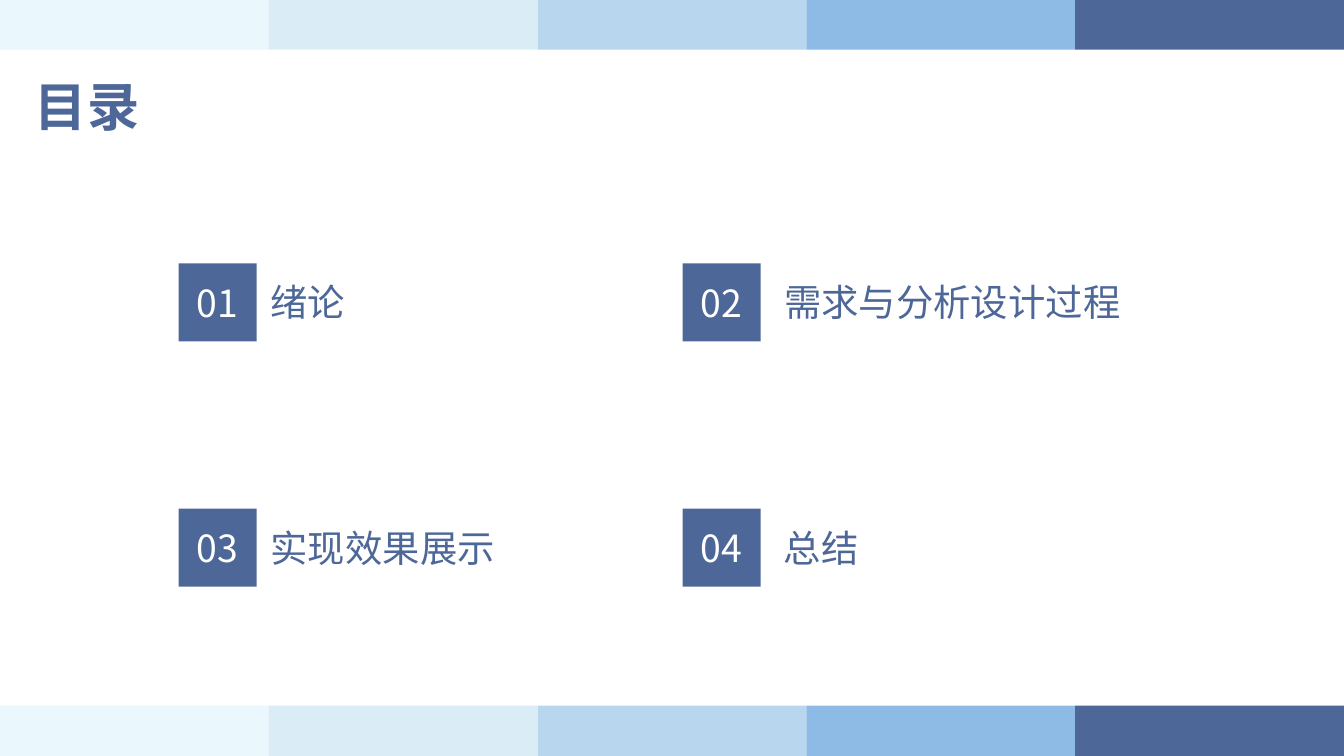
import pptx
import pptx.util
import pptx.dml.color
import pptx.enum.shapes
import pptx.enum.text
import pptx.oxml
import pptx.oxml.ns

COLORS = {"ice": "EAF7FD", "mist": "DAECF6", "sky": "B8D6EE",
          "blue": "8EBBE5", "navy": "4D6798", "white": "FFFFFF"}
FONT = "Noto Sans CJK SC"
COLS, ROWS = 100, 56.25  # grid of square cells
CELL = 0.1  # inches
ALIGN = pptx.enum.text.PP_ALIGN
ANCHOR = pptx.enum.text.MSO_ANCHOR


class Deck:
    """Holds the style and the current slide; lengths are in grid cells."""

    def __init__(self):
        self.prs = pptx.Presentation()
        self.prs.slide_width, self.prs.slide_height = self.cells(COLS, ROWS)
        self.s = self.prs.slides.add_slide(self.prs.slide_layouts[5])

    def cells(self, *lengths):
        return [pptx.util.Inches(n * CELL) for n in lengths]

    def color(self, name):
        return pptx.dml.color.RGBColor.from_string(COLORS[name])

    def set_text(self, tf, text, size, color, align=ALIGN.LEFT,
                 anchor=ANCHOR.TOP, bold=False):
        tf.text = text
        tf.vertical_anchor = anchor
        p = tf.paragraphs[0]
        p.alignment = align
        f = p.font
        f.size, f.bold, f.name = pptx.util.Pt(size), bold, FONT
        f.color.rgb = self.color(color)
        # East Asian typeface
        ea = pptx.oxml.parse_xml(
            f'<a:ea {pptx.oxml.ns.nsdecls("a")} typeface="{FONT}"/>')
        p._p.pPr.find(pptx.oxml.ns.qn("a:defRPr")).append(ea)

    def rect(self, x, y, w, h, fill):
        sp = self.s.shapes.add_shape(
            pptx.enum.shapes.MSO_SHAPE.RECTANGLE, *self.cells(x, y, w, h))
        sp.shadow.inherit = False
        sp.fill.solid()
        sp.fill.fore_color.rgb = self.color(fill)
        sp.line.fill.background()
        return sp

    def badge(self, x, y, size, text):
        sp = self.rect(x, y, size, size, "navy")
        self.set_text(sp.text_frame, text, 20, "white", ALIGN.CENTER, ANCHOR.MIDDLE)

    def label(self, x, y, w, h, text):
        tf = self.s.shapes.add_textbox(*self.cells(x, y, w, h)).text_frame
        tf.word_wrap = False
        self.set_text(tf, text, 20, "navy")

    def title(self, x, y, w, h, text):
        sp = self.s.shapes.title
        sp.left, sp.top, sp.width, sp.height = self.cells(x, y, w, h)
        sp.text_frame.auto_size = pptx.enum.text.MSO_AUTO_SIZE.NONE
        self.set_text(sp.text_frame, text, 28, "navy", bold=True)
        self.s.shapes._spTree.append(sp._element)  # bring to front


def main():
    deck = Deck()

    # Colour stripes, with a white panel leaving bands at top and bottom
    stripes = ["ice", "mist", "sky", "blue", "navy"]
    step = COLS / len(stripes)
    for i, fill in enumerate(stripes):
        deck.rect(i * step, 0, step, ROWS, fill)
    deck.rect(0, 3.7, COLS, 48.8, "white")

    deck.title(1.6, 5, 31.7, 5.7, "目录")

    # Contents: two columns by two rows, label after each number
    topics = ["绪论", "需求与分析设计过程", "实现效果展示", "总结"]
    label_lefts = [19.15, 57.35]
    for i, topic in enumerate(topics):
        row, col = divmod(i, 2)
        x, y = 13.3 + 37.5 * col, 19.6 + 18.25 * row
        deck.badge(x, y, 5.8, f"{i + 1:02d}")
        deck.label(label_lefts[col], y + 0.7, 2 + 2.8 * len(topic), 4.4, topic)

    deck.prs.save("out.pptx")


if __name__ == "__main__":
    main()
